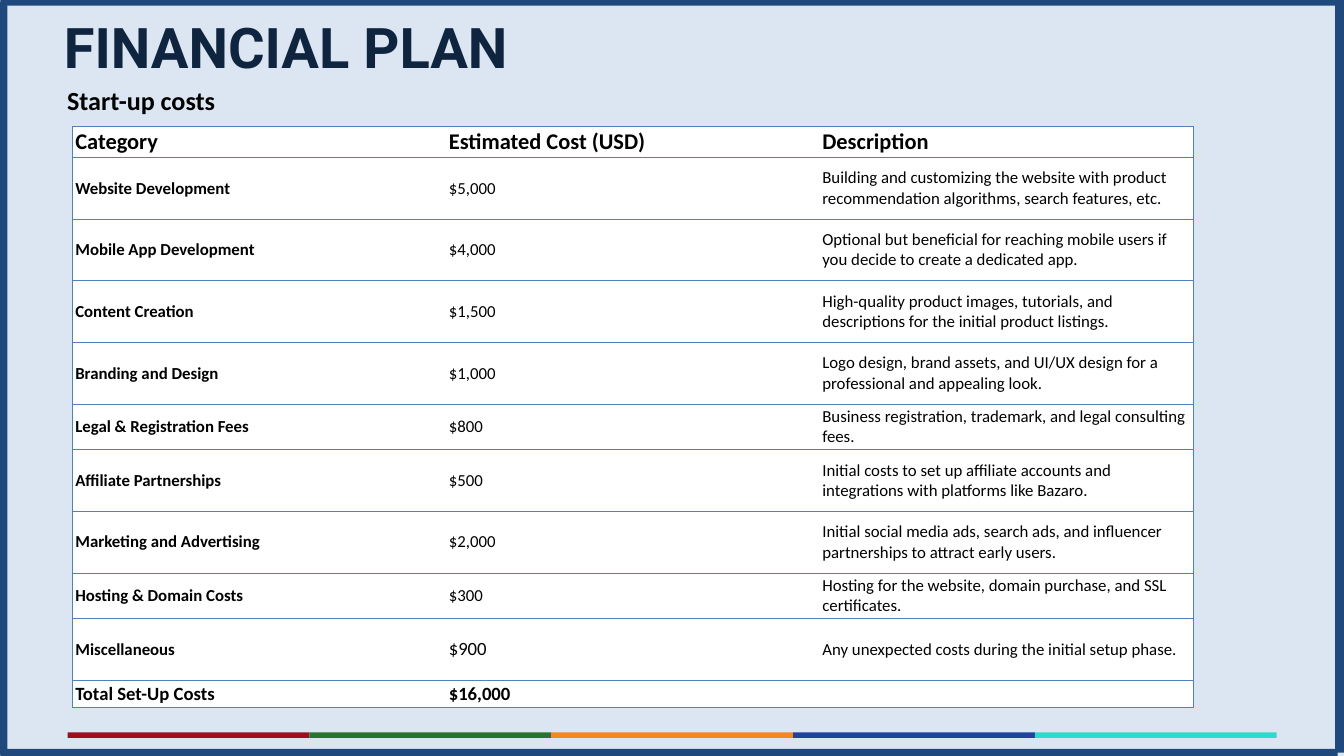
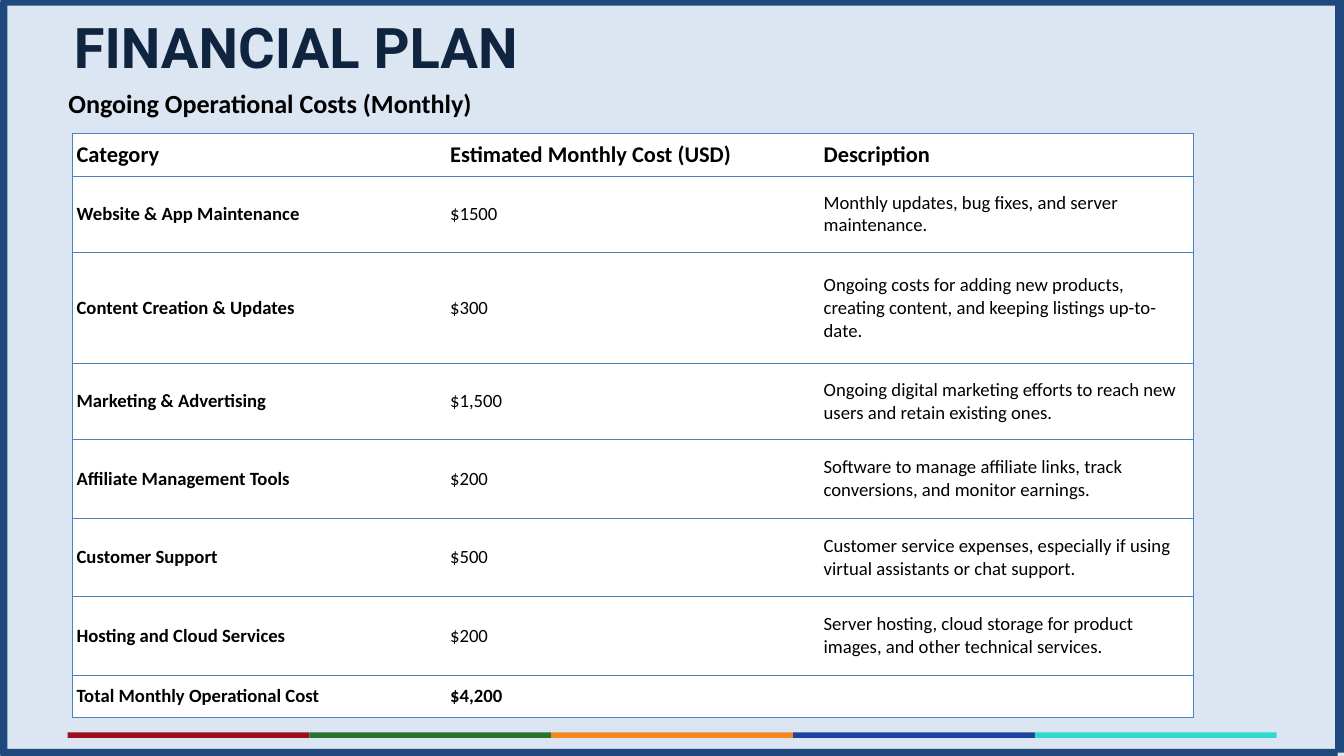
"""Build the two financial plan slides: start-up costs and monthly costs."""
from dataclasses import dataclass
from typing import Optional

from lxml import etree
from pptx import Presentation
from pptx.dml.color import RGBColor
from pptx.enum import shapes, text
from pptx.oxml import ns
from pptx.util import Pt

BACKGROUND = RGBColor(0xDC, 0xE6, 0xF2)
FRAME = RGBColor(0x1F, 0x49, 0x7D)
TITLE = RGBColor(0x0F, 0x24, 0x3E)
RULE = RGBColor(0x4F, 0x81, 0xBD)
BLACK = RGBColor(0x00, 0x00, 0x00)
WHITE = RGBColor(0xFF, 0xFF, 0xFF)
STRIPES = (
    RGBColor(0x9E, 0x0D, 0x20),
    RGBColor(0x28, 0x74, 0x2E),
    RGBColor(0xF6, 0x86, 0x1F),
    RGBColor(0x1D, 0x43, 0x9C),
    RGBColor(0x2E, 0xDA, 0xCC),
)
TITLE_FONT, BODY_FONT = "Roboto", "Calibri"
SLIDE_W, SLIDE_H = 1440, 810
STRIPE_LEFT, STRIPE_TOP, STRIPE_W, STRIPE_H = 72.4, 784.8, 259.1, 5.8
TABLE_LEFT, TABLE_W, COLUMNS = 77.8, 1200.6, 3
HEADER_SIZE = 24


@dataclass(frozen=True)
class Box:
    """Position and size in points."""
    left: float
    top: float
    width: float
    height: float

    def emu(self) -> tuple:
        """Return the four lengths for a python-pptx call."""
        return Pt(self.left), Pt(self.top), Pt(self.width), Pt(self.height)


@dataclass(frozen=True)
class Row:
    """One line of a cost table."""
    height: float
    category: str
    cost: str
    description: str = ""
    cost_size: Optional[float] = None


@dataclass(frozen=True)
class CostSlide:
    """Contents and layout of one cost slide."""
    title_box: Box
    subtitle: str
    subtitle_box: Box
    table_top: float
    margin: float
    body_size: float
    total_size: float
    rows: tuple[Row, ...]


FRAME_BARS = (
    Box(0.4, -1.8, 1432.8, 7.9),
    Box(0.4, 802.4, 1432.8, 7.9),
    Box(-1.4, 2.2, 9.4, 806.4),
    Box(1430.6, 0, 9.4, 806.4),
)

STARTUP = CostSlide(
    Box(54, 5.8, 786.2, 84.2), "Start-up costs", Box(64.8, 87.1, 178, 41),
    135.4, 2.9, 18, 20,
    (
        Row(33.3, "Category", "Estimated Cost (USD)", "Description"),
        Row(66.1, "Website Development", "$5,000",
            "Building and customizing the website with product "
            "recommendation algorithms, search features, etc."),
        Row(66.1, "Mobile App Development", "$4,000",
            "Optional but beneficial for reaching mobile users if you "
            "decide to create a dedicated app."),
        Row(66.1, "Content Creation", "$1,500",
            "High-quality product images, tutorials, and descriptions "
            "for the initial product listings."),
        Row(66.1, "Branding and Design", "$1,000",
            "Logo design, brand assets, and UI/UX design for a "
            "professional and appealing look."),
        Row(48.8, "Legal & Registration Fees", "$800",
            "Business registration, trademark, and legal consulting fees."),
        Row(66.1, "Affiliate Partnerships", "$500",
            "Initial costs to set up affiliate accounts and integrations "
            "with platforms like Bazaro."),
        Row(66.1, "Marketing and Advertising", "$2,000",
            "Initial social media ads, search ads, and influencer "
            "partnerships to attract early users."),
        Row(48.8, "Hosting & Domain Costs", "$300",
            "Hosting for the website, domain purchase, and SSL "
            "certificates."),
        Row(66.1, "Miscellaneous", "$900",
            "Any unexpected costs during the initial setup phase.", 20),
        Row(28.8, "Total Set-Up Costs", "$16,000"),
    ),
)

MONTHLY = CostSlide(
    Box(64.8, 6.5, 786.2, 84.2), "Ongoing Operational Costs (Monthly)",
    Box(66.2, 90, 720, 41), 143.3, 4.3, 20, 20,
    (
        Row(45.4, "Category", "Estimated Monthly Cost (USD)", "Description"),
        Row(81.4, "Website & App Maintenance", "$1500",
            "Monthly updates, bug fixes, and server maintenance."),
        Row(119.5, "Content Creation & Updates", "$300",
            "Ongoing costs for adding new products, creating content, "
            "and keeping listings up-to-date."),
        Row(81.4, "Marketing & Advertising", "$1,500",
            "Ongoing digital marketing efforts to reach new users and "
            "retain existing ones."),
        Row(84.2, "Affiliate Management Tools", "$200",
            "Software to manage affiliate links, track conversions, and "
            "monitor earnings."),
        Row(84.2, "Customer Support", "$500",
            "Customer service expenses, especially if using virtual "
            "assistants or chat support."),
        Row(84.2, "Hosting and Cloud Services", "$200",
            "Server hosting, cloud storage for product images, and "
            "other technical services."),
        Row(45.4, "Total Monthly Operational Cost", "$4,200"),
    ),
)


def add_bar(slide, box: Box, color: RGBColor) -> None:
    """Draw a plain filled rectangle."""
    sp = slide.shapes.add_shape(shapes.MSO_SHAPE.RECTANGLE, *box.emu())
    sp.shadow.inherit = False
    sp.fill.solid()
    sp.fill.fore_color.rgb = color
    sp.line.fill.background()


def write(tf, content: str, size: float, bold: bool,
          color: RGBColor = BLACK, name: str = BODY_FONT) -> None:
    """Set one paragraph of text and format it."""
    tf.text = content
    p = tf.paragraphs[0]
    for font in [p.font] + [r.font for r in p.runs]:
        font.size, font.bold, font.name = Pt(size), bold, name
        font.color.rgb = color


def add_heading(slide, box: Box, content: str, size: float,
                color: RGBColor, name: str, inset: float) -> None:
    """Add a bold one-line text box."""
    tf = slide.shapes.add_textbox(*box.emu()).text_frame
    tf.word_wrap = True
    tf.margin_left = tf.margin_right = Pt(inset)
    tf.margin_top = tf.margin_bottom = Pt(inset / 2)
    write(tf, content, size, True, color, name)


def set_borders(cell, column: int) -> None:
    """Rule a cell above and below, and at the outer sides of the table."""
    ruled = {"lnL": column == 0, "lnR": column == COLUMNS - 1,
             "lnT": True, "lnB": True}
    tc_pr = cell._tc.get_or_add_tcPr()
    for tag, visible in ruled.items():
        ln = etree.SubElement(tc_pr, ns.qn(f"a:{tag}"), w=str(Pt(1)))
        if visible:
            fill = etree.SubElement(ln, ns.qn("a:solidFill"))
            etree.SubElement(fill, ns.qn("a:srgbClr"), val=str(RULE))
        else:
            etree.SubElement(ln, ns.qn("a:noFill"))


def add_cost_table(slide, plan: CostSlide) -> None:
    """Add the cost table with a header and a total row."""
    last = len(plan.rows) - 1
    box = Box(TABLE_LEFT, plan.table_top, TABLE_W,
              sum(row.height for row in plan.rows))
    table = slide.shapes.add_table(last + 1, COLUMNS, *box.emu()).table
    table.first_row = table.horz_banding = False
    for i, row in enumerate(plan.rows):
        table.rows[i].height = Pt(row.height)
        size = {0: HEADER_SIZE, last: plan.total_size}.get(i, plan.body_size)
        sizes = (size, row.cost_size or size, size)
        for j, content in enumerate((row.category, row.cost, row.description)):
            cell = table.cell(i, j)
            set_borders(cell, j)
            cell.fill.solid()
            cell.fill.fore_color.rgb = WHITE
            cell.vertical_anchor = text.MSO_ANCHOR.MIDDLE
            cell.margin_left = cell.margin_right = Pt(plan.margin)
            cell.margin_top = cell.margin_bottom = Pt(plan.margin / 2)
            write(cell.text_frame, content, sizes[j], j == 0 or i in (0, last))


def add_cost_slide(prs, plan: CostSlide) -> None:
    """Add one framed slide with headings and a cost table."""
    slide = prs.slides.add_slide(prs.slide_layouts[6])
    for i, color in enumerate(STRIPES):
        add_bar(slide, Box(STRIPE_LEFT + i * STRIPE_W, STRIPE_TOP,
                           STRIPE_W, STRIPE_H), color)
    add_heading(slide, plan.title_box, "FINANCIAL PLAN", 60, TITLE,
                TITLE_FONT, 14.4)
    add_heading(slide, plan.subtitle_box, plan.subtitle, 28, BLACK,
                BODY_FONT, 7.2)
    add_cost_table(slide, plan)
    for bar in FRAME_BARS:
        add_bar(slide, bar, FRAME)


def main() -> None:
    """Build and save the presentation."""
    prs = Presentation()
    prs.slide_width, prs.slide_height = Pt(SLIDE_W), Pt(SLIDE_H)
    fill = prs.slide_master.background.fill
    fill.solid()
    fill.fore_color.rgb = BACKGROUND
    for plan in (STARTUP, MONTHLY):
        add_cost_slide(prs, plan)
    prs.save("out.pptx")


if __name__ == "__main__":
    main()
